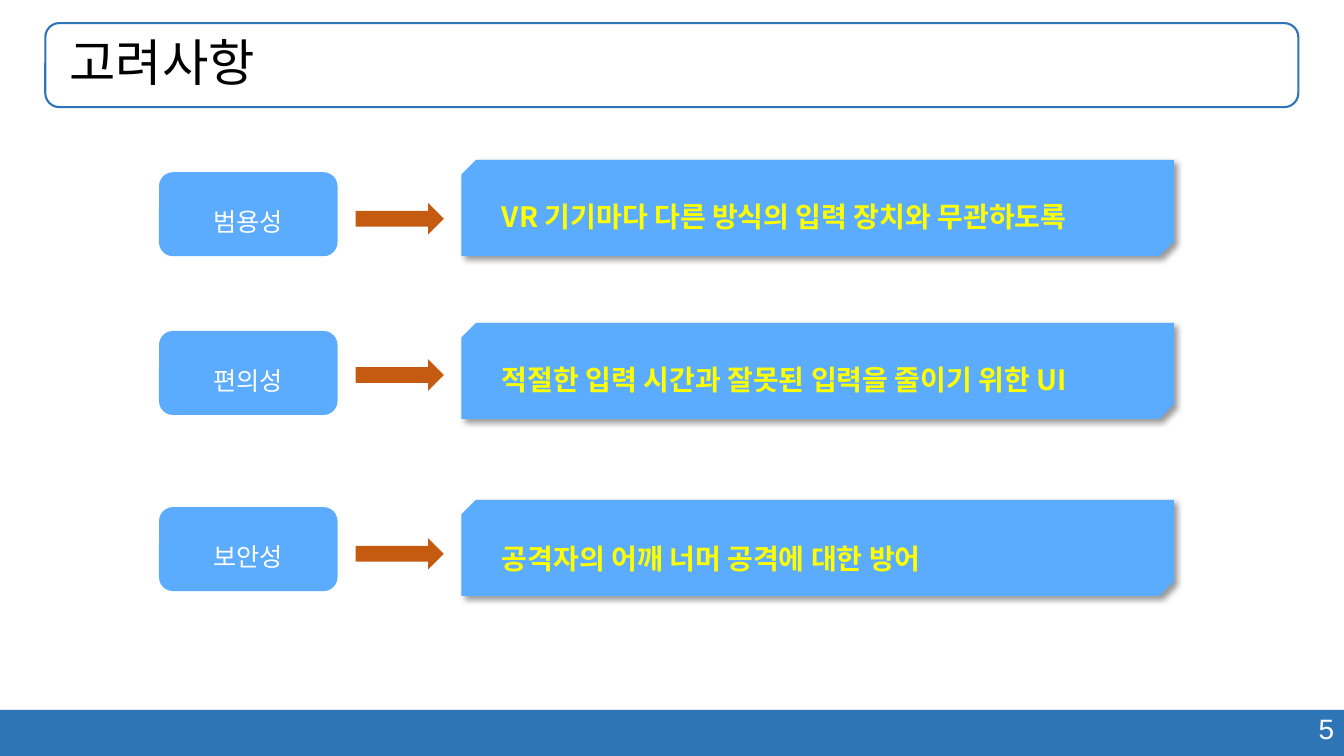
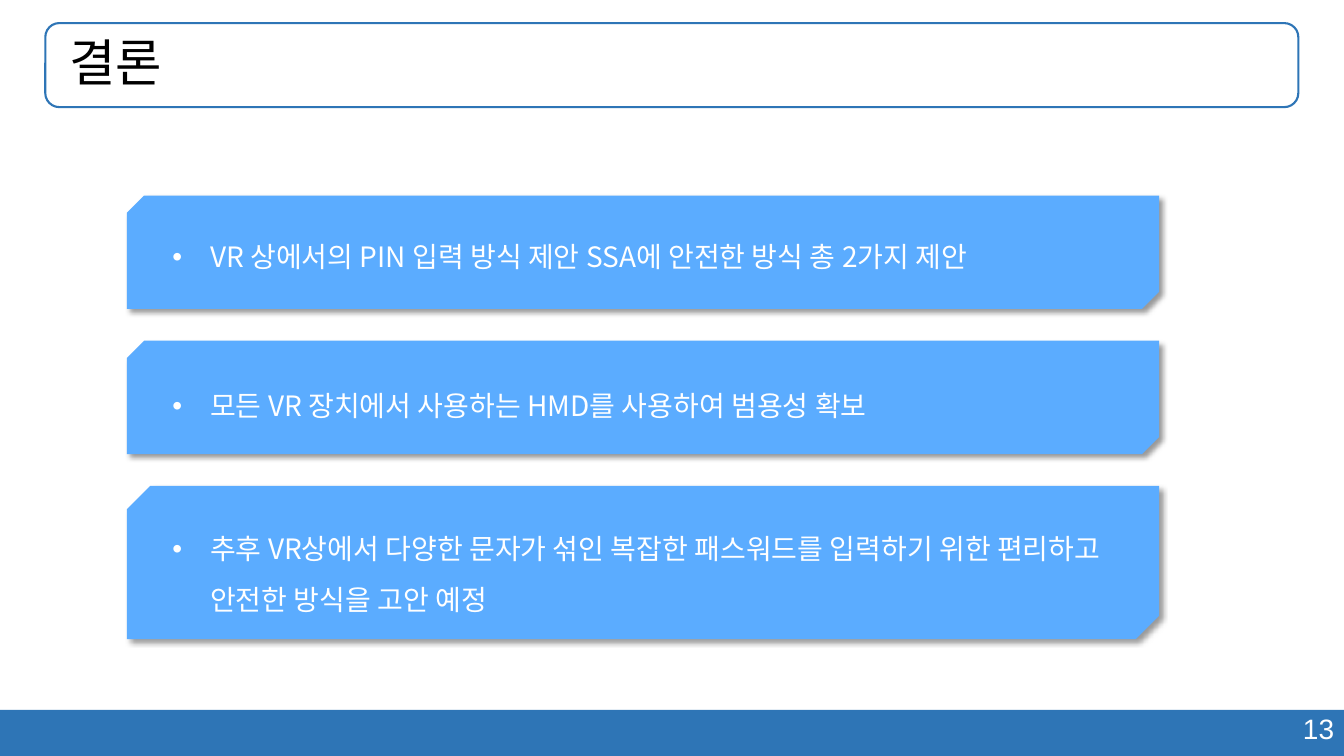
"""Build two slides on VR PIN entry: design considerations and conclusion."""
from typing import NamedTuple

from lxml import etree
from pptx import Presentation
from pptx.dml.color import RGBColor
from pptx.enum.shapes import MSO_SHAPE
from pptx.enum.text import MSO_ANCHOR, PP_ALIGN
from pptx.oxml.ns import qn
from pptx.shapes.autoshape import Shape
from pptx.slide import Slide
from pptx.util import Pt

RECT = MSO_SHAPE.RECTANGLE
ROUNDED = MSO_SHAPE.ROUNDED_RECTANGLE
SNIPPED = MSO_SHAPE.SNIP_2_DIAG_RECTANGLE
ARROW = MSO_SHAPE.RIGHT_ARROW
TOP, MIDDLE = MSO_ANCHOR.TOP, MSO_ANCHOR.MIDDLE
LEFT, CENTER, RIGHT = PP_ALIGN.LEFT, PP_ALIGN.CENTER, PP_ALIGN.RIGHT

NAVY = RGBColor(0x2E, 0x75, 0xB6)
SKY = RGBColor(0x5B, 0xAC, 0xFF)
RUST = RGBColor(0xC5, 0x5A, 0x11)
YELLOW = RGBColor(0xFF, 0xFF, 0x00)
WHITE = RGBColor(0xFF, 0xFF, 0xFF)
BLACK = RGBColor(0x00, 0x00, 0x00)

LATIN_FONT = "Arial"
KOREAN_FONT = "Noto Sans CJK KR"
SLIDE_WIDTH, SLIDE_HEIGHT = 960, 540
FOOTER_HEIGHT = 33
LINE_HEIGHT = 39
BULLET_INDENT = 27


class Box(NamedTuple):
    left: float
    top: float
    width: float
    height: float


class TextStyle(NamedTuple):
    size: float
    color: RGBColor
    font: str = LATIN_FONT
    bold: bool = False
    align: PP_ALIGN = LEFT
    anchor: MSO_ANCHOR = MIDDLE
    spacing: float = 1.5
    bullet: bool = False


class Consideration(NamedTuple):
    label: str
    detail: str
    label_top: float
    arrow_top: float
    card_top: float
    detail_top: float


class Conclusion(NamedTuple):
    text: str
    card_top: float
    card_height: float
    text_top: float
    lines: int = 1


TITLE_BOX = Box(32.4, 16.5, 895, 60)
TITLE_STYLE = TextStyle(36, BLACK, spacing=0.9)
PAGE_STYLE = TextStyle(20, WHITE, align=RIGHT, anchor=TOP, spacing=1)
LABEL_STYLE = TextStyle(18, WHITE, align=CENTER)
DETAIL_STYLE = TextStyle(20, YELLOW, KOREAN_FONT, bold=True)
CONCLUSION_STYLE = TextStyle(20, WHITE, KOREAN_FONT, bullet=True)

CONSIDERATIONS = (
    Consideration("범용성", "VR 기기마다 다른 방식의 입력 장치와 무관하도록",
                  123, 145, 114.3, 129),
    Consideration("편의성", "적절한 입력 시간과 잘못된 입력을 줄이기 위한 UI",
                  236.4, 256.6, 230.6, 245.5),
    Consideration("보안성", "공격자의 어깨 너머 공격에 대한 방어",
                  362.2, 384.4, 357, 373),
)
CONCLUSIONS = (
    Conclusion("VR 상에서의 PIN 입력 방식 제안 SSA에 안전한 방식 총 2가지 제안",
               139.7, 81, 157.7),
    Conclusion("모든 VR 장치에서 사용하는 HMD를 사용하여 범용성 확보",
               243.4, 81, 264.2),
    Conclusion("추후 VR상에서 다양한 문자가 섞인 복잡한 패스워드를 입력하기 위한 "
               "편리하고 안전한 방식을 고안 예정", 347, 109.5, 365, 2),
)


def write(shape: Shape, text: str, style: TextStyle) -> None:
    """Put one styled paragraph into a shape."""
    frame = shape.text_frame
    frame.word_wrap = True
    frame.vertical_anchor = style.anchor
    frame.text = text
    paragraph = frame.paragraphs[0]
    if style.bullet:
        properties = paragraph._p.get_or_add_pPr()
        properties.set("marL", str(Pt(BULLET_INDENT)))
        properties.set("indent", str(-Pt(BULLET_INDENT)))
        etree.SubElement(properties, qn("a:buFont"), typeface=LATIN_FONT)
        etree.SubElement(properties, qn("a:buChar"), char="•")
    paragraph.alignment = style.align
    paragraph.line_spacing = style.spacing
    for run in paragraph.runs:
        run.font.size = Pt(style.size)
        run.font.bold = style.bold
        run.font.color.rgb = style.color
        run.font.name = style.font
        etree.SubElement(run._r.get_or_add_rPr(), qn("a:ea"), typeface=KOREAN_FONT)


def add_text(slide: Slide, box: Box, text: str, style: TextStyle) -> Shape:
    """Add a text box."""
    text_box = slide.shapes.add_textbox(*map(Pt, box))
    write(text_box, text, style)
    return text_box


def add_filled(slide: Slide, kind: MSO_SHAPE, box: Box, color: RGBColor) -> Shape:
    """Add a filled shape without outline or shadow."""
    shape = slide.shapes.add_shape(kind, *map(Pt, box))
    shape.shadow.inherit = False
    shape.fill.solid()
    shape.fill.fore_color.rgb = color
    shape.line.fill.background()
    return shape


def add_card(slide: Slide, box: Box) -> None:
    """Add a snipped card with a soft shadow to the lower right."""
    card = add_filled(slide, SNIPPED, box, SKY)
    card.adjustments[0] = 0.152
    card.adjustments[1] = 0
    effects = card._element.spPr.find(qn("a:effectLst"))
    shadow = etree.SubElement(
        effects, qn("a:outerShdw"), blurRad=str(Pt(4)), dist=str(Pt(3)),
        dir="2700000", algn="tl", rotWithShape="0")
    color = etree.SubElement(shadow, qn("a:srgbClr"), val=str(BLACK))
    etree.SubElement(color, qn("a:alpha"), val="40000")


def add_framed_slide(deck: Presentation, title: str, page: int) -> Slide:
    """Add a slide with the shared footer, page number and title frame."""
    slide = deck.slides.add_slide(deck.slide_layouts[6])
    footer_top = SLIDE_HEIGHT - FOOTER_HEIGHT
    add_filled(slide, RECT, Box(0, footer_top, SLIDE_WIDTH, FOOTER_HEIGHT), NAVY)
    add_text(slide, Box(679, 504.7, 281, 31.5), str(page), PAGE_STYLE)
    title_frame = slide.shapes.add_shape(ROUNDED, *map(Pt, TITLE_BOX))
    title_frame.shadow.inherit = False
    title_frame.fill.background()
    title_frame.line.color.rgb = NAVY
    title_frame.line.width = Pt(1.5)
    heading = add_text(slide, TITLE_BOX, title, TITLE_STYLE)
    heading.text_frame.margin_left = Pt(17.2)
    return slide


def build_considerations(deck: Presentation) -> None:
    """Draw each quality with an arrow to its requirement."""
    slide = add_framed_slide(deck, "고려사항", 5)
    for item in CONSIDERATIONS:
        label = add_filled(slide, ROUNDED, Box(113.6, item.label_top, 127.5, 60), SKY)
        write(label, item.label, LABEL_STYLE)
        add_filled(slide, ARROW, Box(254, item.arrow_top, 63, 22.5), RUST)
        add_card(slide, Box(329.6, item.card_top, 509, 68.6))
        add_text(slide, Box(351.4, item.detail_top, 469, LINE_HEIGHT),
                 item.detail, DETAIL_STYLE)


def build_conclusions(deck: Presentation) -> None:
    """Draw the stacked conclusion cards."""
    slide = add_framed_slide(deck, "결론", 13)
    for item in CONCLUSIONS:
        add_card(slide, Box(90.7, item.card_top, 737.3, item.card_height))
        add_text(slide, Box(116, item.text_top, 688, LINE_HEIGHT * item.lines),
                 item.text, CONCLUSION_STYLE)


def main() -> None:
    """Build and save the deck."""
    deck = Presentation()
    deck.slide_width, deck.slide_height = Pt(SLIDE_WIDTH), Pt(SLIDE_HEIGHT)
    build_considerations(deck)
    build_conclusions(deck)
    deck.save("out.pptx")


if __name__ == "__main__":
    main()
